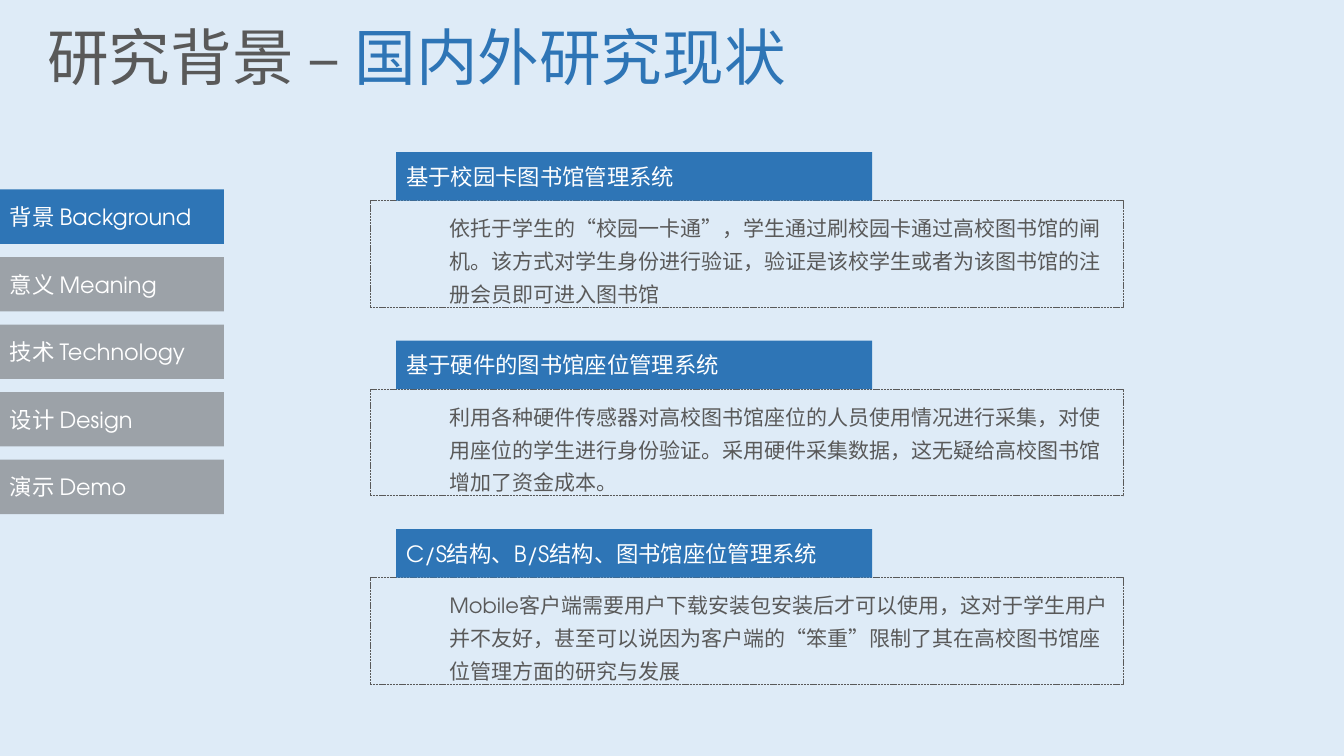
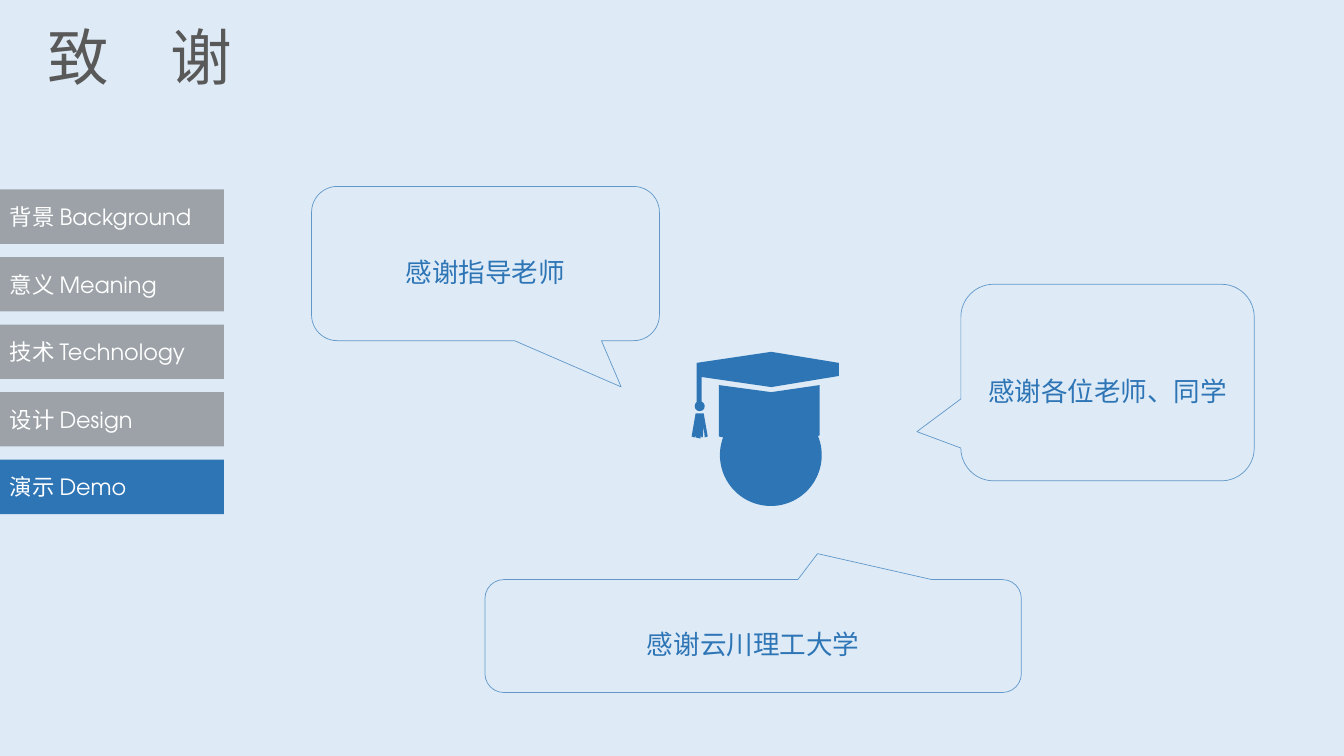
from dataclasses import dataclass

from lxml.etree import SubElement
from pptx import Presentation
from pptx.dml.color import RGBColor
from pptx.enum.dml import MSO_LINE
from pptx.enum.shapes import MSO_SHAPE
from pptx.enum.text import MSO_ANCHOR, PP_ALIGN
from pptx.oxml.ns import qn
from pptx.util import Inches, Pt


@dataclass(frozen=True)
class Theme:
    font: str = "TeX Gyre Adventor"
    back: str = "DEEBF7"
    blue: str = "2E75B6"
    dark: str = "595959"
    grey: str = "9CA2A8"
    white: str = "FFFFFF"
    title: int = 44
    thanks: int = 19
    label: int = 16
    body: int = 15
    hair: float = 0.5


T = Theme()

MENU = ["背景 Background", "意义 Meaning", "技术 Technology", "设计 Design", "演示 Demo"]

STATUS_TITLE = [("研究背景 – ", T.dark), ("国内外研究现状", T.blue)]
THANKS_TITLE = [("致　谢", T.dark)]

CARDS = [
    ("基于校园卡图书馆管理系统",
     "依托于学生的“校园一卡通”，学生通过刷校园卡通过高校图书馆的闸机。"
     "该方式对学生身份进行验证，验证是该校学生或者为该图书馆的注册会员即可进入图书馆"),
    ("基于硬件的图书馆座位管理系统",
     "利用各种硬件传感器对高校图书馆座位的人员使用情况进行采集，"
     "对使用座位的学生进行身份验证。采用硬件采集数据，这无疑给高校图书馆增加了资金成本。"),
    ("C/S结构、B/S结构、图书馆座位管理系统",
     "Mobile客户端需要用户下载安装包安装后才可以使用，这对于学生用户并不友好，"
     "甚至可以说因为客户端的“笨重”限制了其在高校图书馆座位管理方面的研究与发展"),
]

# text, box, pointer tip relative to the box centre
BUBBLES = [
    ("感谢指导老师", (3.09, 1.85, 3.45, 1.53), (0.39, 0.8)),
    ("感谢各位老师、同学", (9.53, 2.82, 2.91, 1.95), (-0.65, 0.25)),
    ("感谢云川理工大学", (4.81, 5.75, 5.32, 1.12), (0.12, -0.73)),
]

# outlines in hundredths of an inch
BOARD = [(832, 360), (765, 349), (691, 360), (691, 400), (696, 400),
         (696, 374), (765, 384), (832, 373)]
TASSEL = [(698, 410), (690, 410), (686, 433), (689, 434), (690, 432), (690, 434),
          (695, 435), (695, 432), (696, 434), (697, 434), (698, 423), (699, 434),
          (702, 433)]
BAND = [(713, 433), (713, 382), (765, 389), (813, 382), (813, 432), (764, 444)]
HEAD = (7.14, 4.01, 1.01, 1.01)
BEAD = (6.89, 3.98, 0.1, 0.1)


def assign(target, values):
    for name, value in values.items():
        setattr(target, name, value)


def rgb(code):
    return RGBColor.from_string(code)


def paint(shape, fill=None, line=None, dash=None, alpha=None):
    shape.shadow.inherit = False
    if fill:
        shape.fill.solid()
        shape.fill.fore_color.rgb = rgb(fill)
    else:
        shape.fill.background()
    if not line:
        shape.line.fill.background()
        return
    shape.line.color.rgb = rgb(line)
    assign(shape.line, {"width": Pt(T.hair), "dash_style": dash or MSO_LINE.SOLID})
    if alpha:
        color = shape.line._ln.find(".//" + qn("a:srgbClr"))
        SubElement(color, qn("a:alpha")).set("val", str(alpha * 1000))


def write(shape, runs, size, spacing=1.0, align=PP_ALIGN.LEFT,
          anchor=MSO_ANCHOR.MIDDLE, left=0.1, top=0.05):
    """Fill a shape with one paragraph of (text, colour) runs."""
    frame = shape.text_frame
    assign(frame, {"word_wrap": True, "vertical_anchor": anchor,
                   "margin_left": Inches(left), "margin_top": Inches(top),
                   "margin_right": Inches(0.1), "margin_bottom": Inches(0.05)})
    para = frame.paragraphs[0]
    assign(para, {"alignment": align, "line_spacing": spacing})
    for text, color in runs:
        run = para.add_run()
        run.text = text
        assign(run.font, {"name": T.font, "size": Pt(size)})
        run.font.color.rgb = rgb(color)


def add(shapes, kind, box, **style):
    shape = shapes.add_shape(kind, *map(Inches, box))
    paint(shape, **style)
    return shape


def add_title(slide, runs):
    box = slide.shapes.add_textbox(*map(Inches, (0.37, 0.22, 11.5, 0.8)))
    write(box, runs, T.title, spacing=0.9, anchor=MSO_ANCHOR.TOP)


def add_menu(slide, active):
    for row, text in enumerate(MENU):
        fill = T.blue if row == active else T.grey
        tab = add(slide.shapes, MSO_SHAPE.RECTANGLE,
                  (0, 1.88 + 0.67 * row, 2.22, 0.54), fill=fill)
        write(tab, [(text, T.white)], T.label)


def add_card(slide, row, head, body):
    shapes = slide.shapes.add_group_shape().shapes
    top, high = 1.51 + 1.87 * row, 0.48
    frame = add(shapes, MSO_SHAPE.RECTANGLE, (3.67, top + high, 7.47, 1.06),
                line=T.dark, dash=MSO_LINE.SQUARE_DOT)
    write(frame, [(body, T.dark)], T.body, spacing=1.3, left=0.79, top=0.12)
    bar = add(shapes, MSO_SHAPE.RECTANGLE, (3.93, top, 4.72, high), fill=T.blue)
    write(bar, [(head, T.white)], T.label)


def add_bubble(slide, text, box, tip):
    bubble = add(slide.shapes, MSO_SHAPE.ROUNDED_RECTANGULAR_CALLOUT, box,
                 line=T.blue, alpha=70)
    for index, value in enumerate(tip):
        bubble.adjustments[index] = value
    write(bubble, [(text, T.blue)], T.thanks, spacing=1.5, align=PP_ALIGN.CENTER)


def add_graduate(slide):
    shapes = slide.shapes.add_group_shape().shapes
    for box in (HEAD, BEAD):
        add(shapes, MSO_SHAPE.OVAL, box, fill=T.blue)
    pen = shapes.build_freeform(*BOARD[0], scale=Inches(0.01))
    pen.add_line_segments(BOARD[1:])
    for part in (TASSEL, BAND):
        pen.move_to(*part[0])
        pen.add_line_segments(part[1:])
    paint(pen.convert_to_shape(), fill=T.blue)


def build_status(slide):
    add_title(slide, STATUS_TITLE)
    for row, (head, body) in enumerate(CARDS):
        add_card(slide, row, head, body)
    add_menu(slide, 0)


def build_thanks(slide):
    add_title(slide, THANKS_TITLE)
    for text, box, tip in BUBBLES:
        add_bubble(slide, text, box, tip)
    add_graduate(slide)
    add_menu(slide, len(MENU) - 1)


def main():
    deck = Presentation()
    assign(deck, {"slide_width": Inches(13.33), "slide_height": Inches(7.5)})
    back = deck.slide_master.background.fill
    back.solid()
    back.fore_color.rgb = rgb(T.back)
    for build in (build_status, build_thanks):
        build(deck.slides.add_slide(deck.slide_layouts[6]))
    deck.save("out.pptx")


if __name__ == "__main__":
    main()
